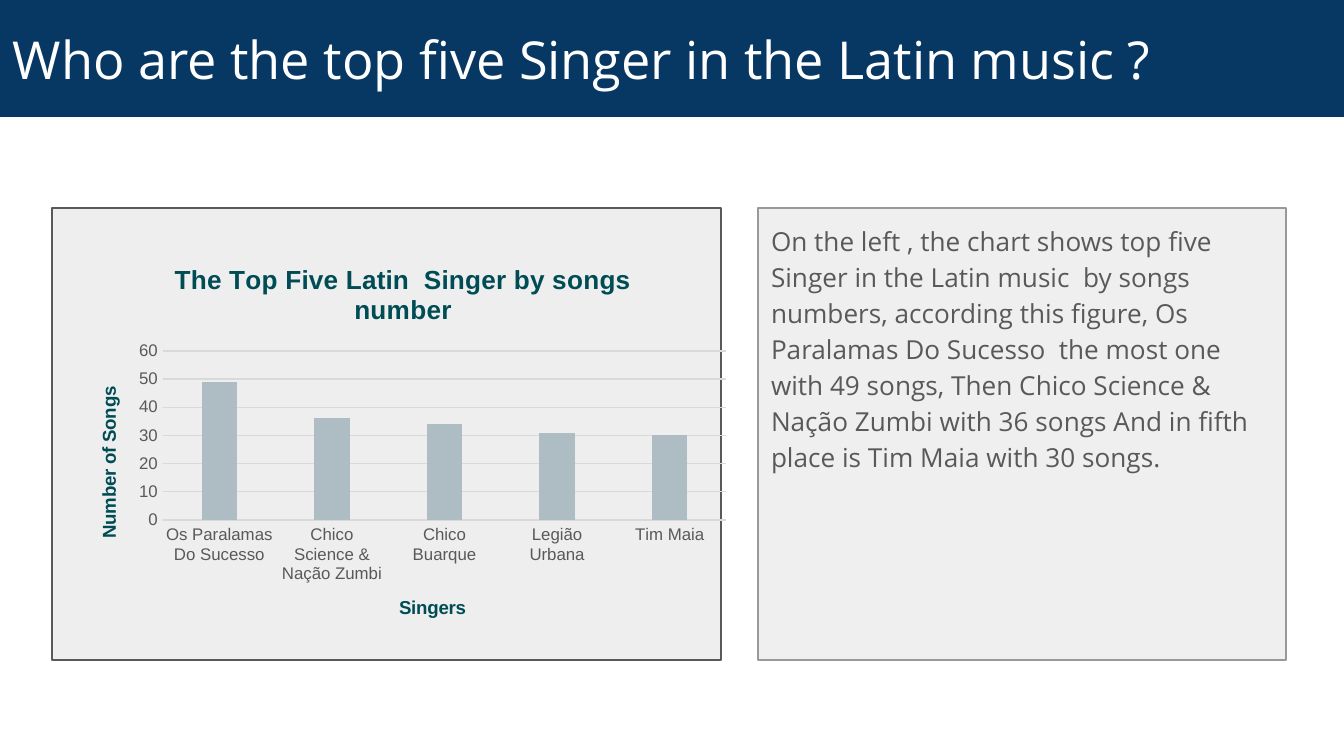
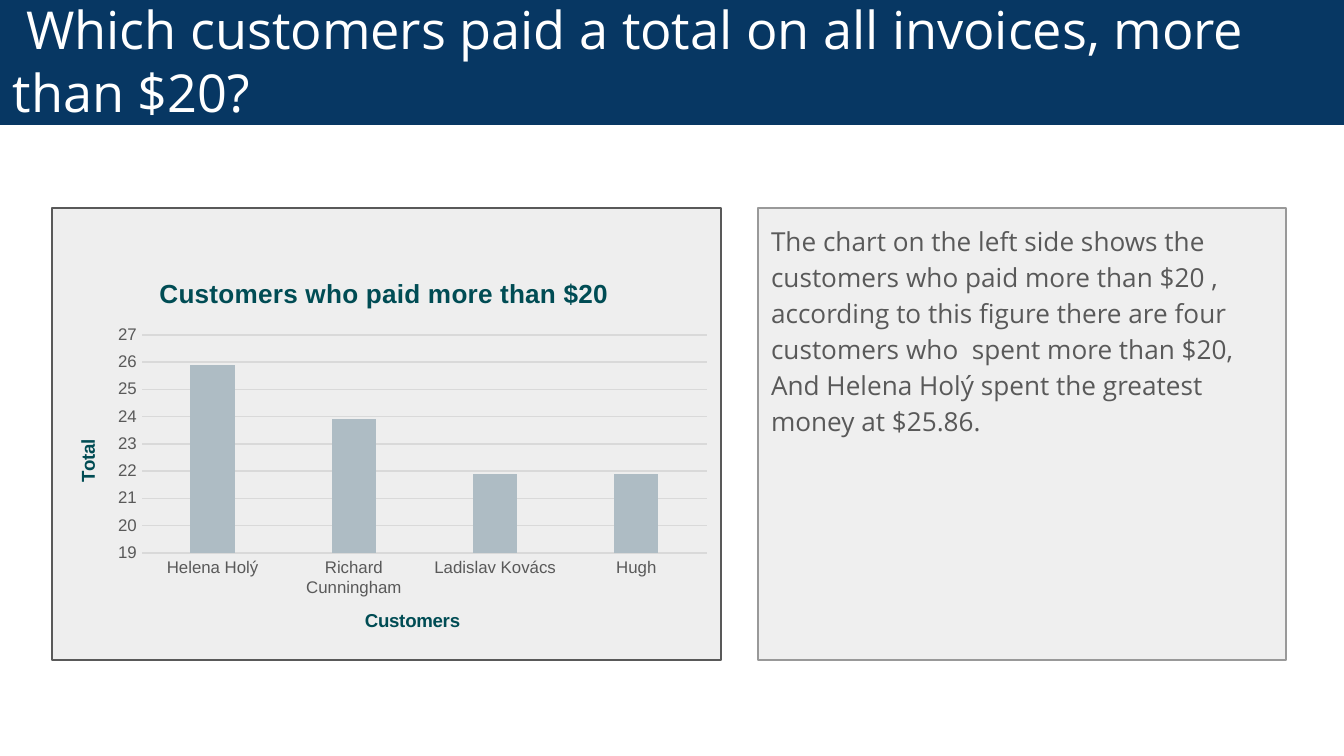
from lxml import etree
from pptx import Presentation
from pptx.chart.data import CategoryChartData
from pptx.dml.color import RGBColor
from pptx.enum.chart import XL_CHART_TYPE, XL_TICK_MARK
from pptx.enum.shapes import MSO_SHAPE
from pptx.enum.text import MSO_ANCHOR, PP_ALIGN
from pptx.oxml import parse_xml
from pptx.oxml.ns import nsdecls, qn
from pptx.util import Emu, Pt

COLUMNS = XL_CHART_TYPE.COLUMN_CLUSTERED
NO_TICKS = XL_TICK_MARK.NONE
RECTANGLE = MSO_SHAPE.RECTANGLE
TOP, MIDDLE = MSO_ANCHOR.TOP, MSO_ANCHOR.MIDDLE
LEFT = PP_ALIGN.LEFT

EMU_PER_PX = 914400 / 134.4
SLIDE_SIZE = (1344, 756)
CHART_SIZE = (672, 403)
CHART_PANEL = (52, 208, 669, 452)
COMMENT_PANEL = (758, 208, 528, 452)
TEXT_INSET = 13

COLORS = {
    "band": "073763",
    "band_text": "FFFFFF",
    "chart_panel": "EEEEEE",
    "comment_panel": "EFEFEF",
    "comment_line": "999999",
    "body": "595959",
    "heading": "004C54",
    "base": "000000",
    "bar": "AEBCC4",
    "grid": "D9D9D9",
}
FONTS = {
    "title": {"name": "Open Sans", "size": Pt(28), "color": "band_text"},
    "comment": {"name": "Open Sans", "size": Pt(14), "color": "body"},
    "chart": {"name": "Arial", "size": Pt(10), "color": "base"},
    "tick": {"name": "Arial", "size": Pt(9), "color": "body"},
    "axis_title": {"name": "Arial", "size": Pt(10), "bold": True, "color": "heading"},
    "chart_title": {"name": "Arial", "size": Pt(14), "bold": True, "color": "heading"},
}
COMMENT_SPACING = {"line_spacing": 1.15, "space_after": Pt(16)}

SLIDES = [
    {
        "title": "Who are the top five Singer in the Latin music ?",
        "band": (0, 0, 1344, 117),
        "comment": "On the left , the chart shows top five Singer in the Latin music  by songs "
                   "numbers, according this figure, Os Paralamas Do Sucesso  the most one with "
                   "49 songs, Then Chico Science & Nação Zumbi with 36 songs And in fifth place "
                   "is Tim Maia with 30 songs.",
        "chart": {
            "at": (67, 243),
            "plot": (163, 351, 563, 169),
            "title": "The Top Five Latin  Singer by songs number",
            "axis_titles": ("Singers", "Number of Songs"),
            "scale": {"minimum_scale": 0, "maximum_scale": 60, "major_unit": 10},
            "values": {
                "Os Paralamas Do Sucesso": 49,
                "Chico Science & Nação Zumbi": 36,
                "Chico Buarque": 34,
                "Legião Urbana": 31,
                "Tim Maia": 30,
            },
        },
    },
    {
        "title": " Which customers paid a total on all invoices, more than $20?",
        "band": (0, -5, 1344, 130),
        "comment": "The chart on the left side shows the customers who paid more than $20 , "
                   "according to this figure there are four customers who  spent more than $20, "
                   "And Helena Holý spent the greatest money at $25.86.",
        "chart": {
            "at": (48, 257),
            "plot": (142, 335, 565, 218),
            "title": "Customers who paid more than $20",
            "axis_titles": ("Customers", "Total"),
            "scale": {"minimum_scale": 19, "maximum_scale": 27, "major_unit": 1},
            "values": {
                "Helena Holý": 25.9,
                "Richard Cunningham": 23.9,
                "Ladislav Kovács": 21.9,
                "Hugh": 21.9,
            },
        },
    },
]


def px(length):
    """Turn a length in px into EMU."""
    return Emu(round(length * EMU_PER_PX))


def rgb(name):
    """Return the named palette colour."""
    return RGBColor.from_string(COLORS[name])


def apply(target, values):
    """Set attributes of the target from a dict."""
    for attribute, value in values.items():
        setattr(target, attribute, value)


def style_font(font, role):
    """Give a font the format of its role."""
    values = dict(FONTS[role])
    font.color.rgb = rgb(values.pop("color"))
    apply(font, values)


def style_line(line, color):
    """Draw a thin line in the named colour."""
    line.color.rgb = rgb(color)
    line.width = Pt(0.75)


def add_panel(slide, box, fill, outline=None):
    """Add a filled rectangle, outlined if a colour is given."""
    panel = slide.shapes.add_shape(RECTANGLE, *map(px, box))
    panel.shadow.inherit = False
    panel.fill.solid()
    panel.fill.fore_color.rgb = rgb(fill)
    if outline:
        style_line(panel.line, outline)
    else:
        panel.line.fill.background()
    return panel


def write_text(panel, text, role, anchor, spacing):
    """Write one left-aligned paragraph inside a panel."""
    frame = panel.text_frame
    sides = ("left", "top", "right", "bottom")
    apply(frame, {f"margin_{side}": px(TEXT_INSET) for side in sides})
    apply(frame, {"word_wrap": True, "vertical_anchor": anchor})
    paragraph = frame.paragraphs[0]
    apply(paragraph, {"alignment": LEFT, **spacing})
    run = paragraph.add_run()
    run.text = text
    style_font(run.font, role)


def write_heading(titled, text, role):
    """Write the title of a chart or an axis."""
    paragraph = titled.text_frame.paragraphs[0]
    run = paragraph.add_run()
    run.text = text
    style_font(run.font, role)


def place_plot(chart, origin, plot):
    """Fix the inner plot area of a chart."""
    area = chart._chartSpace.chart.plotArea
    for old_layout in area.findall(qn("c:layout")):
        area.remove(old_layout)
    layout = parse_xml(f"<c:layout {nsdecls('c')}><c:manualLayout/></c:layout>")
    width, height = CHART_SIZE
    settings = {
        "layoutTarget": "inner",
        "xMode": "edge",
        "yMode": "edge",
        "x": round((plot[0] - origin[0]) / width, 4),
        "y": round((plot[1] - origin[1]) / height, 4),
        "w": round(plot[2] / width, 4),
        "h": round(plot[3] / height, 4),
    }
    for tag, value in settings.items():
        etree.SubElement(layout[0], qn(f"c:{tag}")).set("val", str(value))
    area.insert(0, layout)


def clear_background(chart):
    """Make the chart area transparent and borderless."""
    chart._chartSpace.chart.addnext(parse_xml(
        f"<c:spPr {nsdecls('c', 'a')}><a:noFill/><a:ln><a:noFill/></a:ln></c:spPr>"))


def add_column_chart(slide, content):
    """Add a column chart with titled axes."""
    data = CategoryChartData()
    data.categories = list(content["values"])
    data.add_series("Series 1", list(content["values"].values()))
    box = map(px, content["at"] + CHART_SIZE)
    chart = slide.shapes.add_chart(COLUMNS, *box, data).chart
    chart.has_legend = False
    style_font(chart.font, "chart")
    chart.has_title = True
    write_heading(chart.chart_title, content["title"], "chart_title")
    bars = chart.plots[0]
    apply(bars, {"gap_width": 219, "overlap": -27, "vary_by_categories": False})
    fill = bars.series[0].format.fill
    fill.solid()
    fill.fore_color.rgb = rgb("bar")
    axes = (chart.category_axis, chart.value_axis)
    for axis, title in zip(axes, content["axis_titles"]):
        apply(axis, {"major_tick_mark": NO_TICKS, "minor_tick_mark": NO_TICKS,
                     "has_title": True})
        write_heading(axis.axis_title, title, "axis_title")
        style_font(axis.tick_labels.font, "tick")
    style_line(chart.category_axis.format.line, "grid")
    chart.value_axis.format.line.fill.background()
    style_line(chart.value_axis.major_gridlines.format.line, "grid")
    apply(chart.value_axis, content["scale"])
    apply(chart.value_axis.tick_labels,
          {"number_format": "0", "number_format_is_linked": False})
    place_plot(chart, content["at"], content["plot"])
    clear_background(chart)


def add_question_slide(deck, content):
    """Add a slide with a question, its chart and a comment."""
    slide = deck.slides.add_slide(deck.slide_layouts[6])
    comment = add_panel(slide, COMMENT_PANEL, "comment_panel", "comment_line")
    write_text(comment, content["comment"], "comment", TOP, COMMENT_SPACING)
    add_panel(slide, CHART_PANEL, "chart_panel", "body")
    band = add_panel(slide, content["band"], "band")
    write_text(band, content["title"], "title", MIDDLE, {})
    add_column_chart(slide, content["chart"])


def main():
    """Build and save the deck."""
    deck = Presentation()
    deck.slide_width, deck.slide_height = map(px, SLIDE_SIZE)
    for content in SLIDES:
        add_question_slide(deck, content)
    deck.save("out.pptx")


if __name__ == "__main__":
    main()
